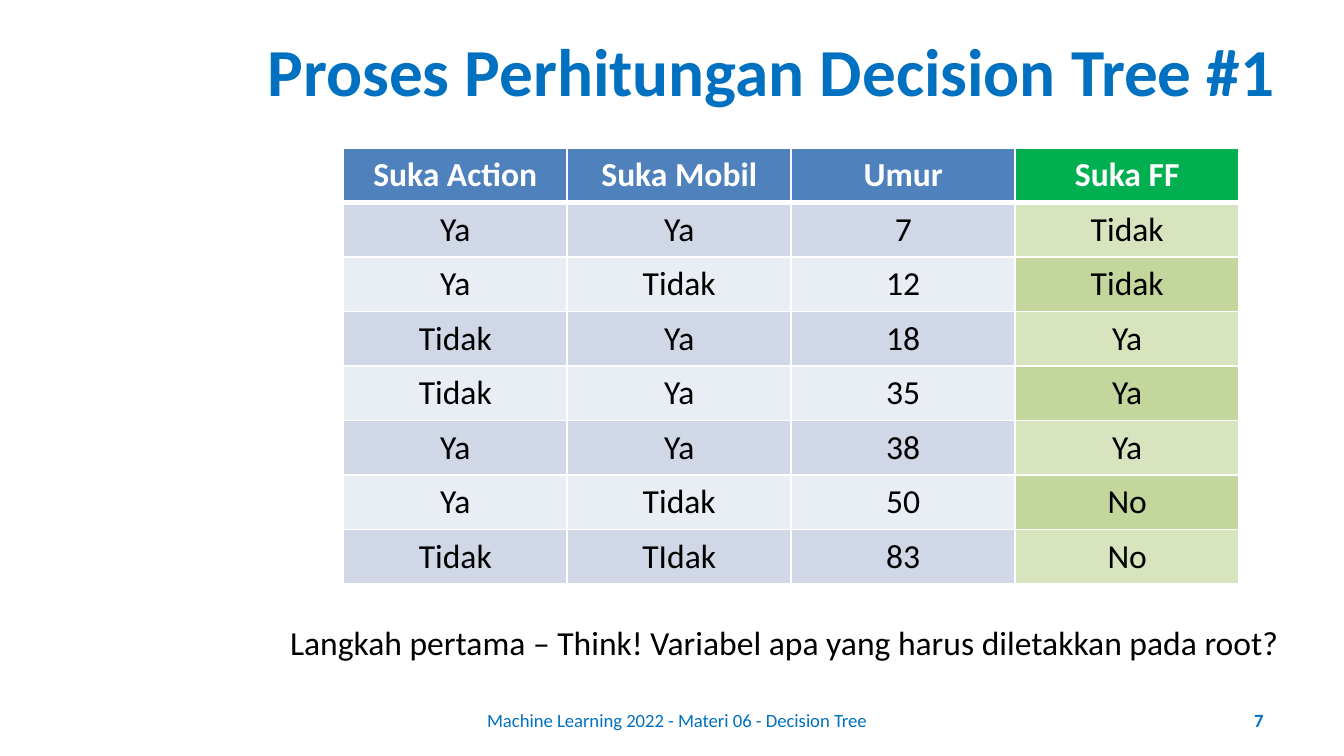
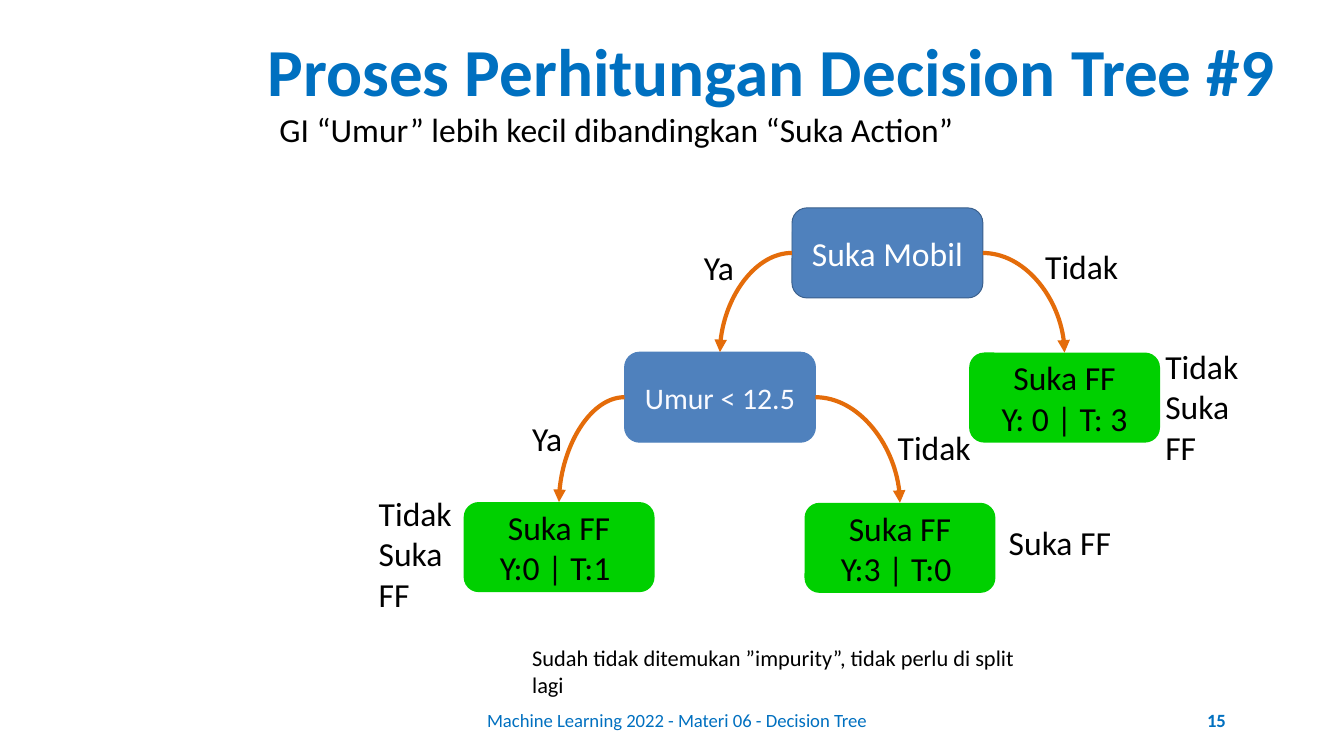
from lxml.etree import SubElement
from pptx import Presentation
from pptx.dml.color import RGBColor
from pptx.enum.shapes import MSO_CONNECTOR, MSO_SHAPE
from pptx.enum.text import MSO_ANCHOR, MSO_AUTO_SIZE, PP_ALIGN
from pptx.oxml.ns import qn
from pptx.util import Pt

FONT = "Calibri"
COLORS = {
    "accent": "0070C0",
    "ink": "000000",
    "white": "FFFFFF",
    "pale": "F9FAFF",
    "blue": "4F81BD",
    "blue_edge": "3A5F8C",
    "blue_bands": ("D0D8E8", "E9EDF4"),
    "target": "00B050",
    "target_bands": ("D7E4BD", "C3D69B"),
    "leaf": "00D000",
    "branch": "E46C0A",
}
NODE_WIDTH, NODE_HEIGHT = 102.24, 48.24
TOP, LEFT, RIGHT = 0, 1, 3
FILMS = [
    ("Suka Action", "Suka Mobil", "Umur", "Suka FF"),
    ("Ya", "Ya", "7", "Tidak"),
    ("Ya", "Tidak", "12", "Tidak"),
    ("Tidak", "Ya", "18", "Ya"),
    ("Tidak", "Ya", "35", "Ya"),
    ("Ya", "Ya", "38", "Ya"),
    ("Ya", "Tidak", "50", "No"),
    ("Tidak", "TIdak", "83", "No"),
]


def rgb(color):
    return RGBColor.from_string(COLORS.get(color, color))


def write(frame, text, size=18, color="ink", bold=False, align=PP_ALIGN.LEFT):
    frame.text = text
    for paragraph in frame.paragraphs:
        paragraph.alignment = align
        font = paragraph.font
        font.name, font.size, font.bold = FONT, Pt(size), bold
        font.color.rgb = rgb(color)


def add_label(slide, text, left, top, width, height=29, wrap=True,
              anchor=MSO_ANCHOR.TOP, **style):
    box = slide.shapes.add_textbox(Pt(left), Pt(top), Pt(width), Pt(height))
    frame = box.text_frame
    frame.word_wrap = wrap
    frame.vertical_anchor = anchor
    write(frame, text, **style)


def add_titled_slide(deck, title, number, number_left):
    slide = deck.slides.add_slide(deck.slide_layouts[5])
    heading = slide.shapes.title
    heading.left, heading.top = Pt(131.8), Pt(20.2)
    heading.width, heading.height = Pt(563), Pt(34.6)
    frame = heading.text_frame
    frame.auto_size = MSO_AUTO_SIZE.NONE
    frame.vertical_anchor = MSO_ANCHOR.MIDDLE
    write(frame, title, size=36, color="accent", bold=True,
          align=PP_ALIGN.CENTER)
    footer = {"top": 375, "height": 21.6, "anchor": MSO_ANCHOR.MIDDLE,
              "size": 10, "color": "accent"}
    add_label(slide, "Machine Learning 2022 - Materi 06 - Decision Tree",
              left=183.6, width=358, align=PP_ALIGN.CENTER, **footer)
    add_label(slide, number, left=number_left, width=122.4, bold=True,
              align=PP_ALIGN.RIGHT, **footer)
    return slide


def add_border(cell, side, width):
    edge = SubElement(cell._tc.get_or_add_tcPr(), qn(f"a:ln{side}"),
                      w=str(Pt(width)))
    fill = SubElement(edge, qn("a:solidFill"))
    SubElement(fill, qn("a:srgbClr"), val=COLORS["white"])


def add_film_table(slide, rows, left, top, column_width, row_height):
    columns = len(rows[0])
    table = slide.shapes.add_table(
        len(rows), columns, Pt(left), Pt(top),
        Pt(column_width * columns), Pt(row_height * len(rows))).table
    for row, values in enumerate(rows):
        table.rows[row].height = Pt(row_height)
        for column, value in enumerate(values):
            cell = table.cell(row, column)
            is_header, is_target = row == 0, column == columns - 1
            borders = {"L": 1, "R": 1, "T": 3 if row == 1 else 1,
                       "B": 3 if is_header else 1}
            for side, width in borders.items():
                add_border(cell, side, width)
            if is_header:
                shade = "target" if is_target else "blue"
            else:
                bands = "target_bands" if is_target else "blue_bands"
                shade = COLORS[bands][(row - 1) % 2]
            cell.fill.solid()
            cell.fill.fore_color.rgb = rgb(shade)
            cell.vertical_anchor = MSO_ANCHOR.MIDDLE
            write(cell.text_frame, value, bold=is_header,
                  color="white" if is_header else "ink",
                  align=PP_ALIGN.CENTER)


def add_node(slide, text, left, top, fill="leaf", edge=None, **style):
    node = slide.shapes.add_shape(
        MSO_SHAPE.ROUNDED_RECTANGLE, Pt(left), Pt(top),
        Pt(NODE_WIDTH), Pt(NODE_HEIGHT))
    node.shadow.inherit = False
    node.fill.solid()
    node.fill.fore_color.rgb = rgb(fill)
    if edge:
        node.line.color.rgb = rgb(edge)
        node.line.width = Pt(0.5)
    else:
        node.line.fill.background()
    frame = node.text_frame
    frame.margin_left = frame.margin_right = 0
    frame.vertical_anchor = MSO_ANCHOR.MIDDLE
    write(frame, text, align=PP_ALIGN.CENTER, **style)
    return node


def add_branch(slide, parent, side, child):
    branch = slide.shapes.add_connector(MSO_CONNECTOR.CURVE, 0, 0, 0, 0)
    branch.begin_connect(parent, side)
    branch.end_connect(child, TOP)
    branch.line.color.rgb = rgb("branch")
    branch.line.width = Pt(2.25)
    properties = branch._element.spPr
    properties.find(qn("a:prstGeom")).set("prst", "curvedConnector2")
    SubElement(properties.find(qn("a:ln")), qn("a:tailEnd"), type="triangle")
    SubElement(properties, qn("a:effectLst"))


def build_data_slide(deck):
    slide = add_titled_slide(
        deck, "Proses Perhitungan Decision Tree #1", "7", 561.6)
    add_film_table(slide, FILMS, left=183.9, top=79.4,
                   column_width=120, row_height=29.2)
    add_label(slide, "Langkah pertama – Think! Variabel apa yang harus "
              "diletakkan pada root?", 148.3, 329.8, 551)


def build_tree_slide(deck):
    slide = add_titled_slide(
        deck, "Proses Perhitungan Decision Tree #9", "15", 541.4)
    add_label(slide, "GI “Umur” lebih kecil dibandingkan “Suka Action”",
              142.6, 54.7, 384)

    likes_cars = add_node(slide, "Suka Mobil", 424.3, 111.4, fill="blue",
                          edge="blue_edge", color="white")
    age = add_node(slide, "Umur < 12.5", 334.6, 188.7, fill="blue",
                   edge="blue", color="pale", size=16)
    no_cars = add_node(slide, "Suka FF\nY: 0 | T: 3", 519.2, 188.9)
    young = add_node(slide, "Suka FF\nY:0 | T:1 ", 248.4, 269)
    older = add_node(slide, "Suka FF\nY:3 | T:0 ", 431, 269.4)

    for parent, side, child in [
            (likes_cars, LEFT, age), (likes_cars, RIGHT, no_cars),
            (age, LEFT, young), (age, RIGHT, older)]:
        add_branch(slide, parent, side, child)

    for answer, left, top, width in [
            ("Ya", 370, 128.5, 31), ("Tidak", 552.8, 128, 54),
            ("Ya", 278, 220.3, 31), ("Tidak", 473.8, 225.4, 54),
            ("Suka FF", 533.3, 276, 70)]:
        add_label(slide, answer, left, top, width, wrap=False)
    for left, top in [(195.8, 260.6), (617.2, 181.8)]:
        add_label(slide, "Tidak Suka FF", left, top, 65.5, 72.7)
    add_label(slide, "Sudah tidak ditemukan ”impurity”, tidak perlu di "
              "split lagi", 278, 341.5, 292, 21.6, size=12)


def main():
    deck = Presentation()
    deck.slide_width, deck.slide_height = Pt(720), Pt(405)
    build_data_slide(deck)
    build_tree_slide(deck)
    deck.save("out.pptx")


if __name__ == "__main__":
    main()
